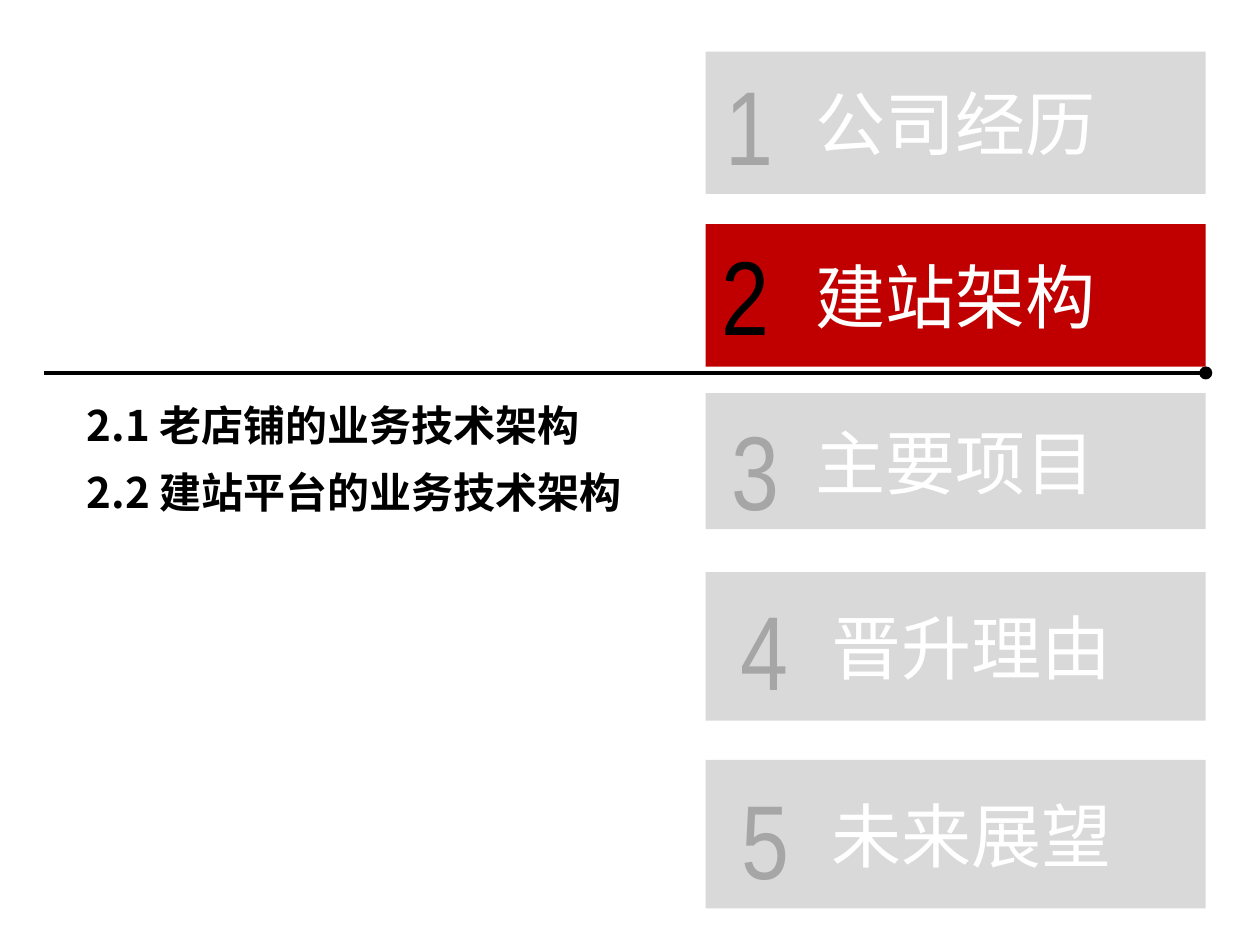
from dataclasses import dataclass
from lxml.etree import SubElement
from pptx import Presentation
from pptx.dml.color import RGBColor
from pptx.enum.shapes import MSO_CONNECTOR, MSO_SHAPE
from pptx.enum.text import MSO_ANCHOR, MSO_AUTO_SIZE, PP_ALIGN
from pptx.oxml.ns import qn
from pptx.util import Inches, Pt


@dataclass(frozen=True)
class Theme:
    """Colours, fonts and type sizes of the slide."""
    black: str = "000000"
    white: str = "FFFFFF"
    red: str = "C00000"
    band: str = "D9D9D9"
    number: str = "A6A6A6"
    title_font: str = "Calibri"
    number_font: str = "Arial Narrow"
    topic_font: str = "Noto Sans CJK SC"
    title_size: int = 40
    number_size: int = 60
    topic_size: int = 24


T = Theme()
ACTIVE = 2
BAND_LEFT, BAND_WIDTH = 5.6, 3.97
# title, band top, band height, number left, number top, number height
CHAPTERS = [
    ("公司经历", 0.41, 1.13, 5.66, 0.43, 1.11),
    ("建站架构", 1.78, 1.13, 5.63, 1.78, 1.11),
    ("主要项目", 3.12, 1.08, 5.71, 3.17, 0.77),
    ("  晋升理由", 4.54, 1.18, 5.78, 4.6, 0.84),
    ("  未来展望", 6.03, 1.18, 5.79, 6.1, 1.11),
]
TOPICS = ["2.1 老店铺的业务技术架构", "2.2 建站平台的业务技术架构"]


def style(p, font, size, color, bold=False):
    """Format every run of a paragraph."""
    for r in p.runs:
        r.font.name, r.font.size, r.font.bold = font, Pt(size), bold
        r.font.color.rgb = RGBColor.from_string(color)


def add_text(s, box, lines, *look):
    """Add a wrapping text box, one paragraph per line."""
    tf = s.shapes.add_textbox(*map(Inches, box)).text_frame
    tf.word_wrap = True
    tf.auto_size = MSO_AUTO_SIZE.SHAPE_TO_FIT_TEXT
    tf.text = "\n".join(lines)
    for p in tf.paragraphs:
        style(p, *look)
    return tf


def add_band(s, title, top, height, color):
    """Add a chapter band with its centred title."""
    sp = s.shapes.add_shape(MSO_SHAPE.RECTANGLE, *map(
        Inches, (BAND_LEFT, top, BAND_WIDTH, height)))
    sp.shadow.inherit = False
    sp.fill.solid()
    sp.fill.fore_color.rgb = RGBColor.from_string(color)
    sp.line.fill.background()
    tf = sp.text_frame
    tf.vertical_anchor = MSO_ANCHOR.MIDDLE
    tf.text = title
    tf.paragraphs[0].alignment = PP_ALIGN.CENTER
    style(tf.paragraphs[0], T.title_font, T.title_size, T.white)


def add_rule(s):
    """Add the dividing line with a round end."""
    ln = s.shapes.add_connector(MSO_CONNECTOR.STRAIGHT, *map(
        Inches, (0.35, 2.96, BAND_LEFT + BAND_WIDTH, 2.96)))
    ln.line.width = Pt(2.5)
    ln.line.color.rgb = RGBColor.from_string(T.black)
    SubElement(ln.line._get_or_add_ln(), qn("a:tailEnd"), type="oval")
    SubElement(ln._element.spPr, qn("a:effectLst"))


def add_topics(s):
    """Add the topics of the active chapter with a hanging indent."""
    tf = add_text(s, (0.2, 3.12, 5.28, 1.07), TOPICS,
                  T.topic_font, T.topic_size, T.black, True)
    for p in tf.paragraphs:
        p.level = 1
        pPr = p._p.get_or_add_pPr()
        pPr.set("marL", str(Inches(0.77)))
        pPr.set("indent", str(Inches(-0.38)))
        for tag in ("a:spcBef", "a:spcAft"):
            SubElement(SubElement(pPr, qn(tag)), qn("a:spcPct"), val="20000")
        for r in p.runs:
            SubElement(r.font._element, qn("a:ea"), typeface=T.topic_font)


prs = Presentation()
prs.slide_width, prs.slide_height = Inches(10), Inches(7.5)
s = prs.slides.add_slide(prs.slide_layouts[6])
add_rule(s)
for n, (title, top, height, x, y, h) in enumerate(CHAPTERS, 1):
    add_band(s, title, top, height, T.red if n == ACTIVE else T.band)
    add_text(s, (x, y, 0.68, h), [str(n)], T.number_font, T.number_size,
             T.black if n == ACTIVE else T.number)
add_topics(s)
prs.save("out.pptx")
